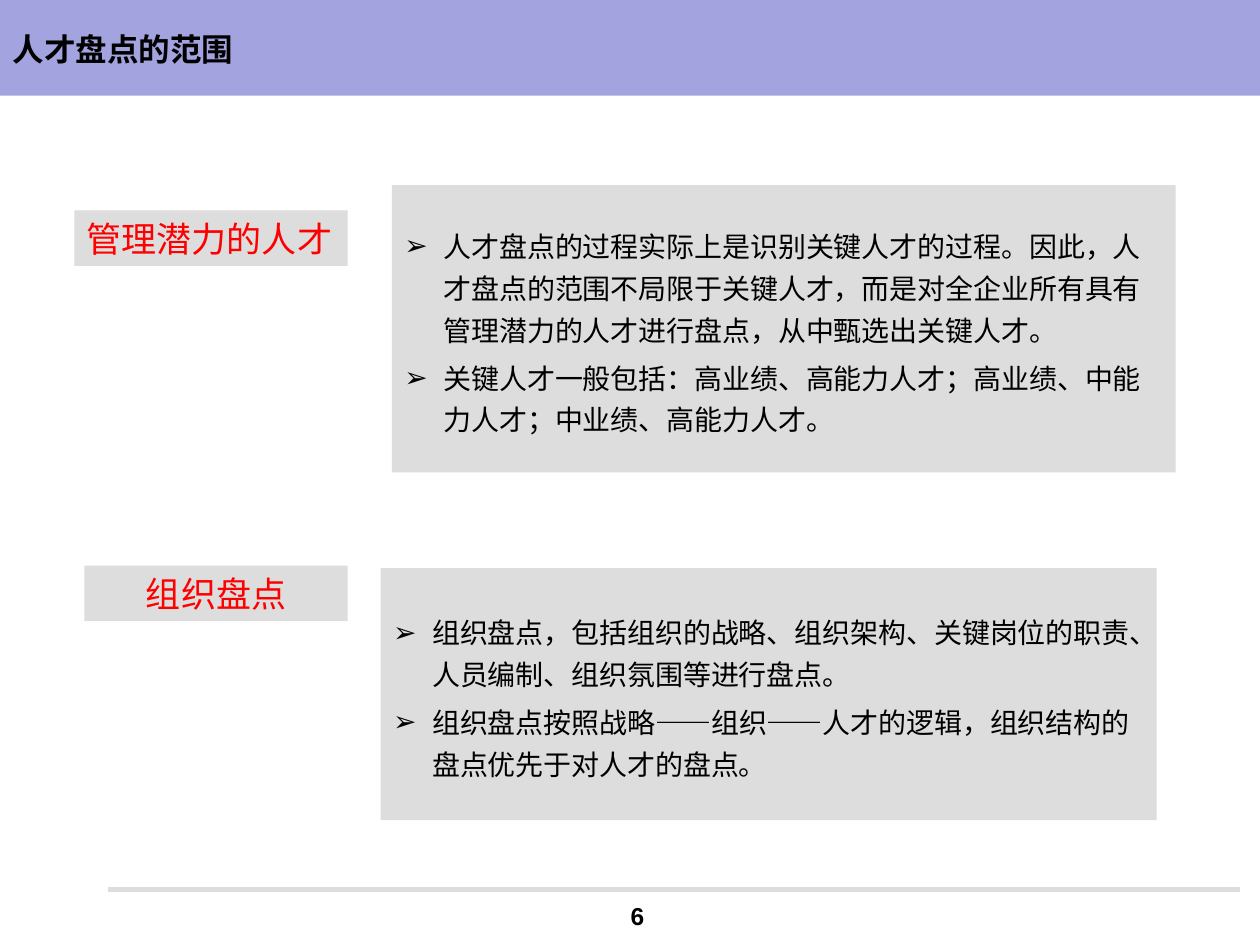
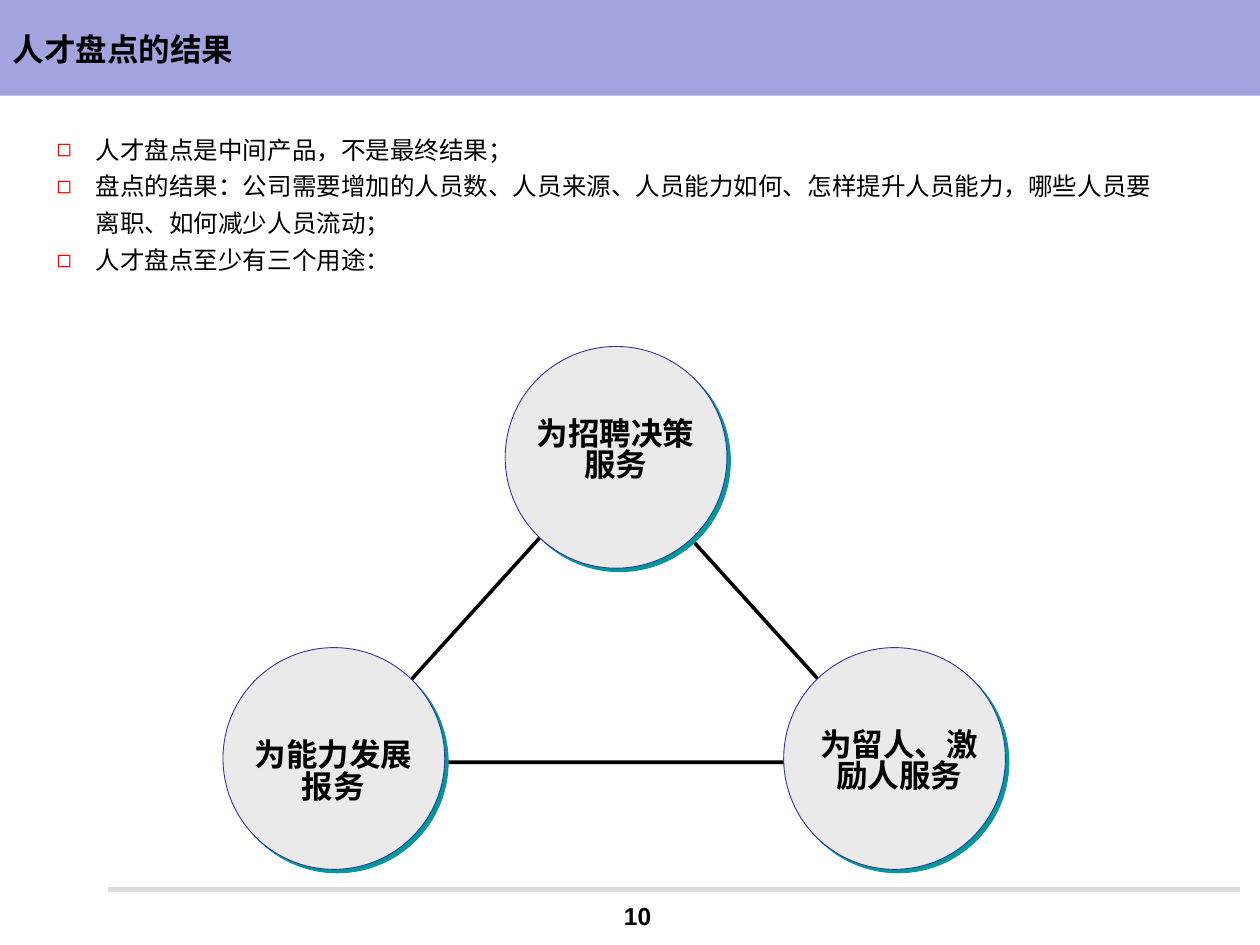
from dataclasses import dataclass

import lxml.etree
import pptx
import pptx.dml.color
import pptx.enum.shapes
import pptx.enum.text
import pptx.oxml.ns
import pptx.util

Inches = pptx.util.Inches
Pt = pptx.util.Pt
qn = pptx.oxml.ns.qn
Shape = pptx.enum.shapes.MSO_SHAPE
Align = pptx.enum.text.PP_ALIGN
Anchor = pptx.enum.text.MSO_ANCHOR


@dataclass(frozen=True)
class Theme:
    latin: str = "Arial"
    asian: str = "Noto Sans CJK SC"
    band: str = "A3A3E0"
    panel: str = "DDDDDD"
    circle: str = "EAEAEA"
    outline: str = "333399"
    shade: str = "009999"
    ink: str = "000000"
    accent: str = "FF0000"
    title_size: int = 18
    label_size: int = 20
    panel_size: int = 16
    list_size: int = 14
    circle_size: int = 18
    page_size: int = 14
    list_spacing: float = 1.25
    circle_spacing: float = 0.83


def rgb(value):
    return pptx.dml.color.RGBColor.from_string(value)


def add_xml(parent, tag, **attributes):
    return lxml.etree.SubElement(parent, qn(tag), **attributes)


class Deck:
    def __init__(self, theme):
        self.theme = theme
        self.presentation = pptx.Presentation()
        self.presentation.slide_width = Inches(10)
        self.presentation.slide_height = Inches(7.5)
        self.slide = None

    def start(self, layout, title, page):
        theme = self.theme
        self.slide = self.presentation.slides.add_slide(
            self.presentation.slide_layouts.get_by_name(layout))
        heading = self.slide.shapes.title
        self.place(heading, (0, 0.08, 9.67, 0.62))
        heading.text_frame.text = title
        self.format(heading.text_frame, theme.title_size, bold=True, latin=theme.asian)
        band = self.shape(Shape.RECTANGLE, (0, 0, 10, 0.76), theme.band)
        heading.element.addprevious(band.element)
        self.line((0.86, 7.06), (9.84, 7.06), theme.panel, 2.75)
        self.text((4.69, 7.09, 0.74, 0.35), page, theme.page_size)

    def place(self, item, box):
        item.left, item.top, item.width, item.height = map(Inches, box)

    def format(self, frame, size, color=None, bold=False, align=Align.LEFT,
               anchor=Anchor.MIDDLE, latin=None, spacing=1.0, before=0):
        frame.word_wrap = True
        frame.auto_size = pptx.enum.text.MSO_AUTO_SIZE.NONE
        frame.vertical_anchor = anchor
        for paragraph in frame.paragraphs:
            paragraph.alignment = align
            paragraph.line_spacing = spacing
            paragraph.space_before = Pt(before)
            for run in paragraph.runs:
                run.font.size = Pt(size)
                run.font.bold = bold
                run.font.color.rgb = rgb(color or self.theme.ink)
                run.font.name = latin or self.theme.latin
                add_xml(run.font._element, "a:ea", typeface=self.theme.asian)

    def shape(self, kind, box, fill=None, outline=None, weight=0):
        item = self.slide.shapes.add_shape(kind, *map(Inches, box))
        item.shadow.inherit = False
        if fill:
            item.fill.solid()
            item.fill.fore_color.rgb = rgb(fill)
        else:
            item.fill.background()
        if outline:
            item.line.color.rgb = rgb(outline)
            item.line.width = Pt(weight)
        else:
            item.line.fill.background()
        return item

    def line(self, start, end, color, weight):
        rule = self.slide.shapes.add_connector(
            pptx.enum.shapes.MSO_CONNECTOR.STRAIGHT, *map(Inches, start + end))
        rule.line.color.rgb = rgb(color)
        rule.line.width = Pt(weight)
        add_xml(rule.element.spPr, "a:effectLst")

    def text(self, box, words, size, spacing=1.0, inset=0.05):
        frame = self.slide.shapes.add_textbox(*map(Inches, box)).text_frame
        frame.margin_left = frame.margin_right = Inches(inset)
        frame.margin_top = frame.margin_bottom = Inches(inset)
        frame.text = words
        self.format(frame, size, bold=True, align=Align.CENTER, spacing=spacing)

    def label(self, box, words, align):
        tag = self.shape(Shape.RECTANGLE, box, self.theme.panel)
        tag.text_frame.text = words
        self.format(tag.text_frame, self.theme.label_size, self.theme.accent, align=align)

    def bullets(self, index, box, items, size, mark, mark_color, anchor, before=0, fill=None):
        body = self.slide.placeholders[index]
        self.place(body, box)
        if fill:
            body.fill.solid()
            body.fill.fore_color.rgb = rgb(fill)
        body.text_frame.text = "\n".join(items)
        self.format(body.text_frame, size, anchor=anchor,
                    spacing=self.theme.list_spacing, before=before)
        for paragraph in body.text_frame.paragraphs:
            properties = paragraph._p.get_or_add_pPr()
            properties.set("marL", str(Inches(0.31)))
            properties.set("indent", str(-Inches(0.31)))
            add_xml(add_xml(properties, "a:buClr"), "a:srgbClr", val=mark_color)
            add_xml(properties, "a:buFont", typeface=self.theme.latin)
            add_xml(properties, "a:buChar", char=mark)

    def panel(self, index, box, items):
        size = self.theme.panel_size
        self.bullets(index, box, items, size, "➢", self.theme.ink, Anchor.MIDDLE,
                     before=size * 0.2, fill=self.theme.panel)

    def circle(self, left, top):
        disc = self.shape(Shape.OVAL, (left, top, 1.76, 1.76),
                          self.theme.circle, self.theme.outline, 0.5)
        effects = disc.element.spPr.find(qn("a:effectLst"))
        shade = add_xml(effects, "a:outerShdw", dist=str(Pt(2.8)), dir="2700000",
                        algn="ctr", rotWithShape="0")
        add_xml(shade, "a:srgbClr", val=self.theme.shade)


theme = Theme()
deck = Deck(theme)

deck.start("Two Content", "人才盘点的范围", "6")
deck.label((0.59, 1.67, 2.17, 0.44), "管理潜力的人才", Align.LEFT)
deck.panel(1, (3.11, 1.47, 6.22, 2.28), [
    "人才盘点的过程实际上是识别关键人才的过程。因此，人才盘点的范围不局限于关键人才，"
    "而是对全企业所有具有管理潜力的人才进行盘点，从中甄选出关键人才。",
    "关键人才一般包括：高业绩、高能力人才；高业绩、中能力人才；中业绩、高能力人才。",
])
deck.label((0.67, 4.49, 2.09, 0.44), "组织盘点", Align.CENTER)
deck.panel(2, (3.02, 4.51, 6.16, 2), [
    "组织盘点，包括组织的战略、组织架构、关键岗位的职责、人员编制、组织氛围等进行盘点。",
    "组织盘点按照战略——组织——人才的逻辑，组织结构的盘点优先于对人才的盘点。",
])

deck.start("Title and Content", "人才盘点的结果", "10")
deck.bullets(1, (0.35, 0.96, 9.06, 1.47), [
    "人才盘点是中间产品，不是最终结果；",
    "盘点的结果：公司需要增加的人员数、人员来源、人员能力如何、怎样提升人员能力，"
    "哪些人员要离职、如何减少人员流动；",
    "人才盘点至少有三个用途：",
], theme.list_size, "◻", theme.accent, Anchor.TOP)
deck.shape(Shape.ISOSCELES_TRIANGLE, (2.67, 3.61, 4.42, 2.44), outline=theme.ink, weight=2)
purposes = [
    ((4.01, 2.75), (4.14, 3.44, 1.49, 0.29), "为招聘决策服务"),
    ((1.77, 5.14), (1.9, 5.92, 1.49, 0.43), "为能力发展报务"),
    ((6.22, 5.14), (6.39, 5.95, 1.49, 0.2), "为留人、激励人服务"),
]
for corner, caption_box, caption in purposes:
    deck.circle(*corner)
    deck.text(caption_box, caption, theme.circle_size, theme.circle_spacing, inset=0)

deck.presentation.save("out.pptx")
